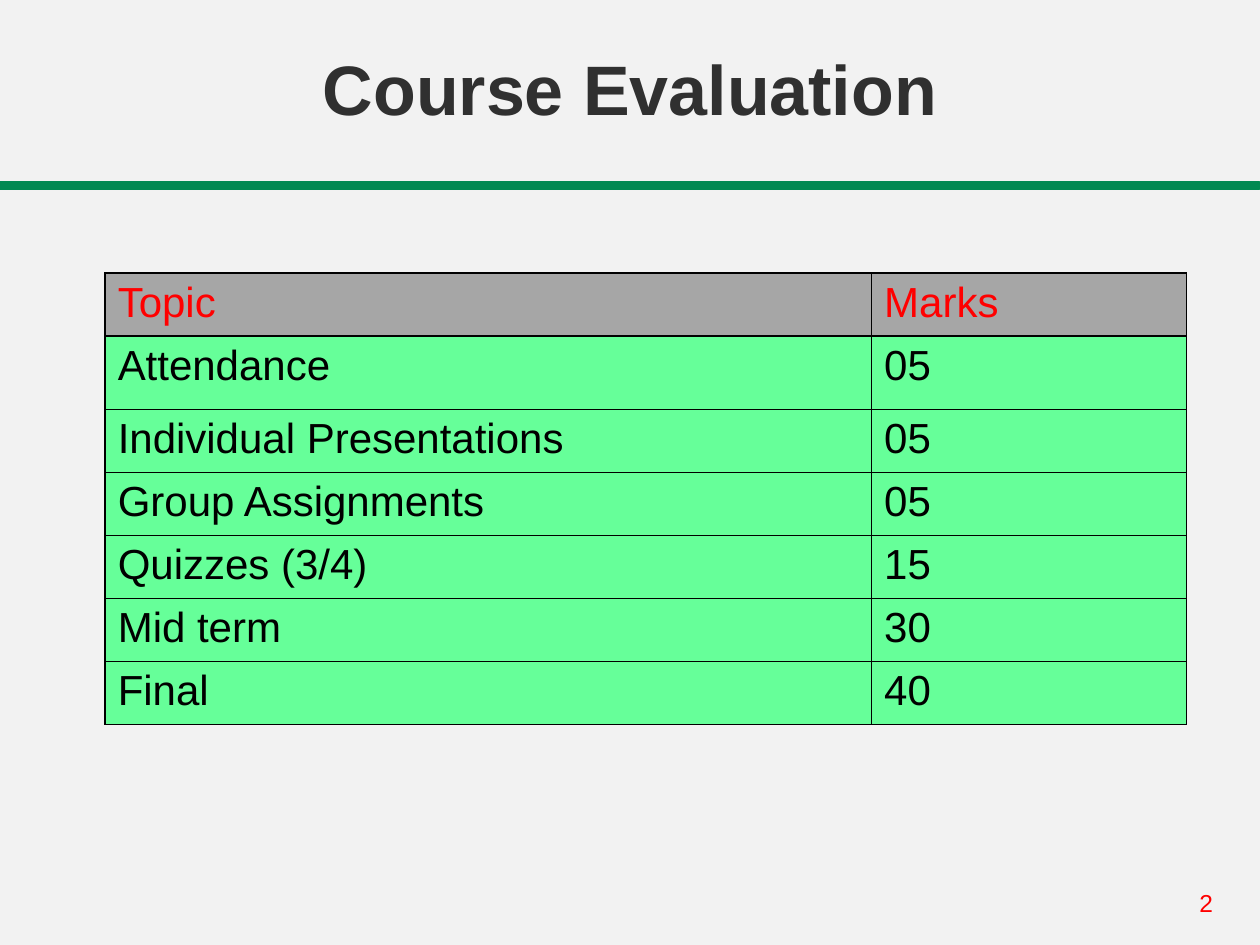
import lxml.etree
import pptx
import pptx.dml.color
import pptx.enum.shapes
import pptx.enum.text
import pptx.oxml.ns
import pptx.util

Cm = pptx.util.Cm
Pt = pptx.util.Pt

MARKS = [
    ("Topic", "Marks"),
    ("Attendance", "05"),
    ("Individual Presentations", "05"),
    ("Group Assignments", "05"),
    ("Quizzes (3/4)", "15"),
    ("Mid term", "30"),
    ("Final", "40"),
]


def colour(hex_string):
    """Return the RGB colour for a hex string."""
    return pptx.dml.color.RGBColor.from_string(hex_string)


def fill_solid(fill, hex_string):
    """Give a fill one solid colour."""
    fill.solid()
    fill.fore_color.rgb = colour(hex_string)


def write_text(text_frame, text, size, hex_string, bold=False):
    """Set the text of a frame and format its run."""
    text_frame.text = text
    font = text_frame.paragraphs[0].runs[0].font
    font.name = "Arial"
    font.size = Pt(size)
    font.bold = bold
    font.color.rgb = colour(hex_string)


def add_border(cell, hex_string, width):
    """Draw a solid line on all four sides of a cell."""
    qn = pptx.oxml.ns.qn
    properties = cell._tc.get_or_add_tcPr()
    for position, side in enumerate(("a:lnL", "a:lnR", "a:lnT", "a:lnB")):
        line = lxml.etree.Element(qn(side), w=str(Pt(width)))
        solid = lxml.etree.SubElement(line, qn("a:solidFill"))
        lxml.etree.SubElement(solid, qn("a:srgbClr"), val=hex_string)
        properties.insert(position, line)


def add_heading(slide, left, top, width, height):
    """Place the title with the green rule below it."""
    rule = slide.shapes.add_shape(
        pptx.enum.shapes.MSO_SHAPE.RECTANGLE,
        left, top + height + Cm(0.94), width, Cm(0.13),
    )
    rule.shadow.inherit = False
    fill_solid(rule.fill, "018952")
    rule.line.color.rgb = colour("018952")
    rule.line.width = Pt(1.75)

    title = slide.shapes.title
    title.left, title.top, title.width, title.height = left, top, width, height
    text_frame = title.text_frame
    text_frame.auto_size = pptx.enum.text.MSO_AUTO_SIZE.NONE
    text_frame.vertical_anchor = pptx.enum.text.MSO_ANCHOR.BOTTOM
    write_text(text_frame, "Course Evaluation", 40, "303030", bold=True)
    text_frame.paragraphs[0].alignment = pptx.enum.text.PP_ALIGN.CENTER


def add_marks_table(slide, left, top, width, height):
    """Place the table of topics and marks."""
    frame = slide.shapes.add_table(len(MARKS), 2, left, top, width, height)
    table = frame.table
    marks_width = Cm(6.35)
    table.columns[0].width = width - marks_width
    table.columns[1].width = marks_width
    row_height = Cm(1.27)
    for row in table.rows:
        row.height = row_height
    table.rows[1].height = height - row_height * (len(MARKS) - 1)

    for row_index, values in enumerate(MARKS):
        is_header = row_index == 0
        for column_index, value in enumerate(values):
            cell = table.cell(row_index, column_index)
            write_text(cell.text_frame, value, 24, "FF0000" if is_header else "000000")
            fill_solid(cell.fill, "A6A6A6" if is_header else "66FF99")
            add_border(cell, "000000", 1)


def add_page_number(slide, left, top, width, height):
    """Place the page number."""
    box = slide.shapes.add_textbox(left, top, width, height)
    box.text_frame.word_wrap = True
    write_text(box.text_frame, "2", 14, "FF0000")


def main():
    """Build and save the slide."""
    presentation = pptx.Presentation()
    presentation.slide_width = Cm(25.4)
    presentation.slide_height = Cm(19.05)
    slide = presentation.slides.add_slide(presentation.slide_layouts[5])
    fill_solid(slide.background.fill, "F2F2F2")
    add_heading(slide, Cm(0), Cm(0), presentation.slide_width, Cm(2.74))
    add_marks_table(slide, Cm(2.12), Cm(5.5), Cm(21.8), Cm(9.1))
    add_page_number(slide, Cm(23.93), Cm(17.78), Cm(1.47), Cm(0.86))
    presentation.save("out.pptx")


if __name__ == "__main__":
    main()
